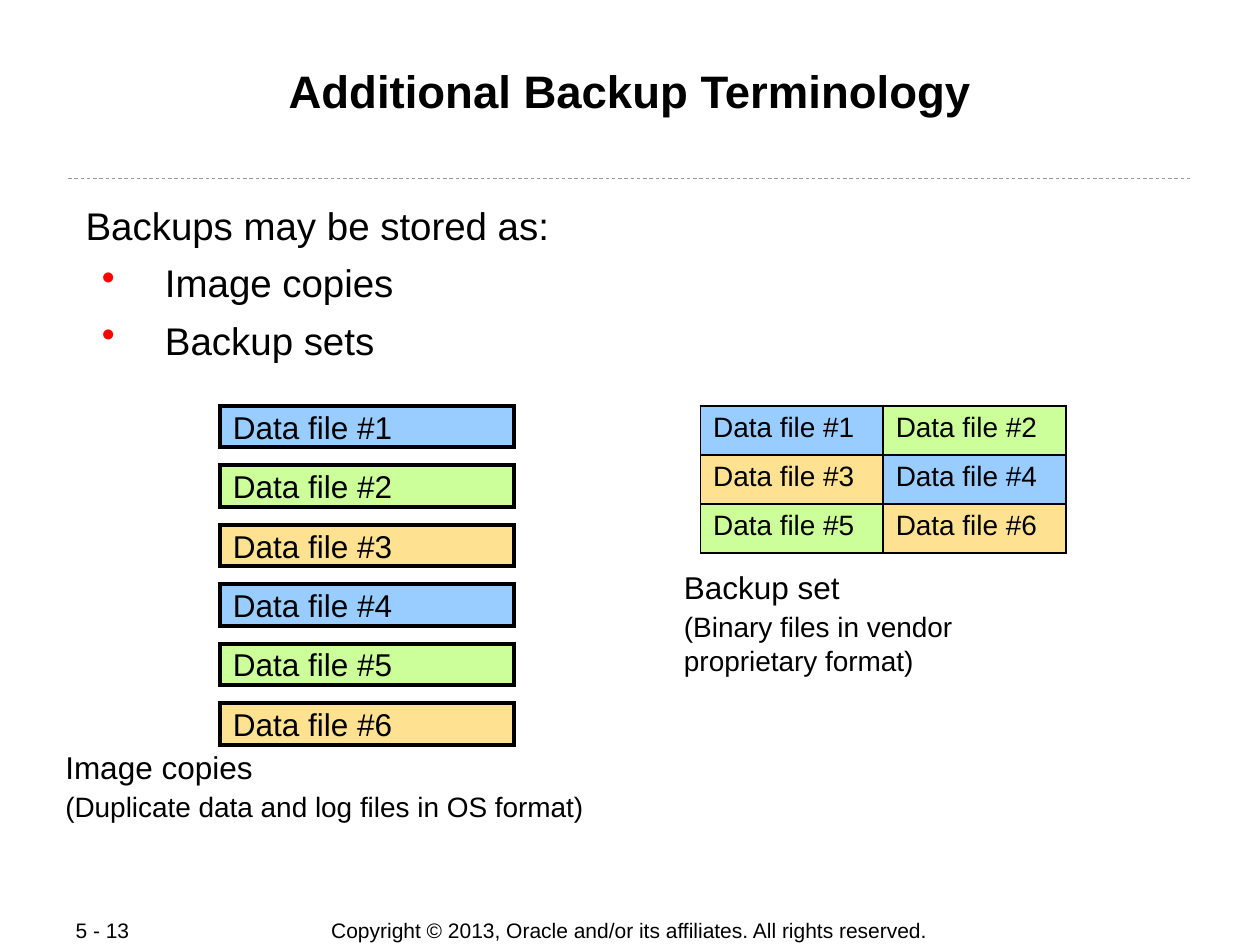
from lxml import etree
from pptx import Presentation
from pptx.dml.color import RGBColor
from pptx.enum.dml import MSO_LINE
from pptx.enum.shapes import MSO_CONNECTOR, MSO_SHAPE
from pptx.enum.text import MSO_ANCHOR, PP_ALIGN
from pptx.oxml.ns import qn
from pptx.util import Inches, Pt

COLORS = {
    "text": "000000",
    "outline": "000000",
    "rule": "999999",
    "bullet": "FF0000",
    "blue": "99CCFF",
    "green": "CCFF99",
    "yellow": "FFE291",
}
FILE_FILLS = ("blue", "green", "yellow")
DATA_FILES = [
    (f"Data file #{number + 1}", FILE_FILLS[number % 3]) for number in range(6)
]
FONT = "Arial"


def rgb(name):
    return RGBColor.from_string(COLORS[name])


def style_paragraph(paragraph, size, bold=False, align=PP_ALIGN.LEFT):
    paragraph.alignment = align
    paragraph.font.name = FONT
    paragraph.font.size = Pt(size)
    paragraph.font.bold = bold
    paragraph.font.color.rgb = rgb("text")


def add_bullet(paragraph):
    """Give the paragraph a red bullet with a hanging indent."""
    properties = paragraph._p.get_or_add_pPr()
    properties.set("marL", str(Inches(0.63)))
    properties.set("indent", str(Inches(-0.5)))
    bullet_color = etree.SubElement(properties, qn("a:buClr"))
    etree.SubElement(bullet_color, qn("a:srgbClr"), val=COLORS["bullet"])
    etree.SubElement(properties, qn("a:buChar"), char="•")


def add_text_frame(slide, left, top, width, height, margin=None):
    box = slide.shapes.add_textbox(
        Inches(left), Inches(top), Inches(width), Inches(height)
    )
    frame = box.text_frame
    frame.word_wrap = True
    if margin is not None:
        frame.margin_left = frame.margin_right = Inches(margin)
        frame.margin_top = frame.margin_bottom = Inches(margin)
    return frame


def add_title(slide, title):
    frame = add_text_frame(slide, 0.67, 0.49, 8.66, 0.96, margin=0.01)
    frame.text = title
    style_paragraph(frame.paragraphs[0], 26, bold=True, align=PP_ALIGN.CENTER)


def add_body(slide, intro, items):
    frame = add_text_frame(slide, 0.67, 1.59, 8.66, 1.91, margin=0.01)
    frame.text = "\n".join([intro, *items])
    for index, paragraph in enumerate(frame.paragraphs):
        if index:
            paragraph.space_before = Pt(6.5)
            add_bullet(paragraph)
        style_paragraph(paragraph, 22)


def add_rule(slide):
    rule = slide.shapes.add_connector(
        MSO_CONNECTOR.STRAIGHT,
        Inches(0.54), Inches(1.42), Inches(9.46), Inches(1.42),
    )
    rule.line.color.rgb = rgb("rule")
    rule.line.width = Pt(0.5)
    rule.line.dash_style = MSO_LINE.DASH
    etree.SubElement(rule._element.spPr, qn("a:effectLst"))


def add_footer(slide, text, left, width, align):
    frame = add_text_frame(slide, left, 7.28, width, 0.21, margin=0)
    frame.vertical_anchor = MSO_ANCHOR.MIDDLE
    frame.text = text
    style_paragraph(frame.paragraphs[0], 12, align=align)


def add_image_copies(slide):
    """Stack one separate bar per data file."""
    first_top, last_top = 3.22, 5.58
    pitch = (last_top - first_top) / (len(DATA_FILES) - 1)
    for index, (label, fill) in enumerate(DATA_FILES):
        bar = slide.shapes.add_shape(
            MSO_SHAPE.RECTANGLE,
            Inches(1.75), Inches(first_top + index * pitch),
            Inches(2.33), Inches(0.33),
        )
        bar.shadow.inherit = False
        bar.fill.solid()
        bar.fill.fore_color.rgb = rgb(fill)
        bar.line.color.rgb = rgb("outline")
        bar.line.width = Pt(2.25)
        outline = bar._element.spPr.find(qn("a:ln"))
        etree.SubElement(outline, qn("a:miter"), lim="800000")
        bar.text_frame.vertical_anchor = MSO_ANCHOR.MIDDLE
        bar.text_frame.text = label
        style_paragraph(bar.text_frame.paragraphs[0], 18)


def add_cell_borders(cell):
    properties = cell._tc.get_or_add_tcPr()
    for position, side in enumerate(("lnL", "lnR", "lnT", "lnB")):
        border = etree.Element(qn(f"a:{side}"), w=str(Pt(1.08)))
        line_fill = etree.SubElement(border, qn("a:solidFill"))
        etree.SubElement(line_fill, qn("a:srgbClr"), val=COLORS["outline"])
        properties.insert(position, border)


def add_backup_set(slide):
    """Pack all data files into one grid."""
    rows, columns = 3, 2
    grid = slide.shapes.add_table(
        rows, columns, Inches(5.56), Inches(3.22), Inches(2.9), Inches(1.17)
    ).table
    grid.first_row = False
    grid.horz_banding = False
    for cell, (label, fill) in zip(grid.iter_cells(), DATA_FILES):
        cell.fill.solid()
        cell.fill.fore_color.rgb = rgb(fill)
        add_cell_borders(cell)
        cell.text = label
        style_paragraph(cell.text_frame.paragraphs[0], 16)


def add_caption(slide, name, detail, left, top, width, height):
    frame = add_text_frame(slide, left, top, width, height)
    frame.text = f"{name}\n{detail}"
    for paragraph, size in zip(frame.paragraphs, (18, 16)):
        style_paragraph(paragraph, size)
    frame.paragraphs[1].space_before = Pt(2)


def main():
    presentation = Presentation()
    presentation.slide_width = Inches(10)
    presentation.slide_height = Inches(7.5)
    slide = presentation.slides.add_slide(presentation.slide_layouts[6])

    add_footer(
        slide,
        "Copyright © 2013, Oracle and/or its affiliates. All rights reserved.",
        2.5, 4.99, PP_ALIGN.CENTER,
    )
    add_rule(slide)
    add_footer(slide, "5 - 13", 0.6, 0.86, PP_ALIGN.LEFT)
    add_title(slide, "Additional Backup Terminology")
    add_body(slide, "Backups may be stored as:", ["Image copies", "Backup sets"])
    add_image_copies(slide)
    add_caption(
        slide, "Image copies", "(Duplicate data and log files in OS format)",
        0.42, 5.89, 4.96, 0.7,
    )
    add_caption(
        slide, "Backup set", "(Binary files in vendor proprietary format)",
        5.33, 4.46, 3.42, 0.96,
    )
    add_backup_set(slide)
    presentation.save("out.pptx")


if __name__ == "__main__":
    main()
